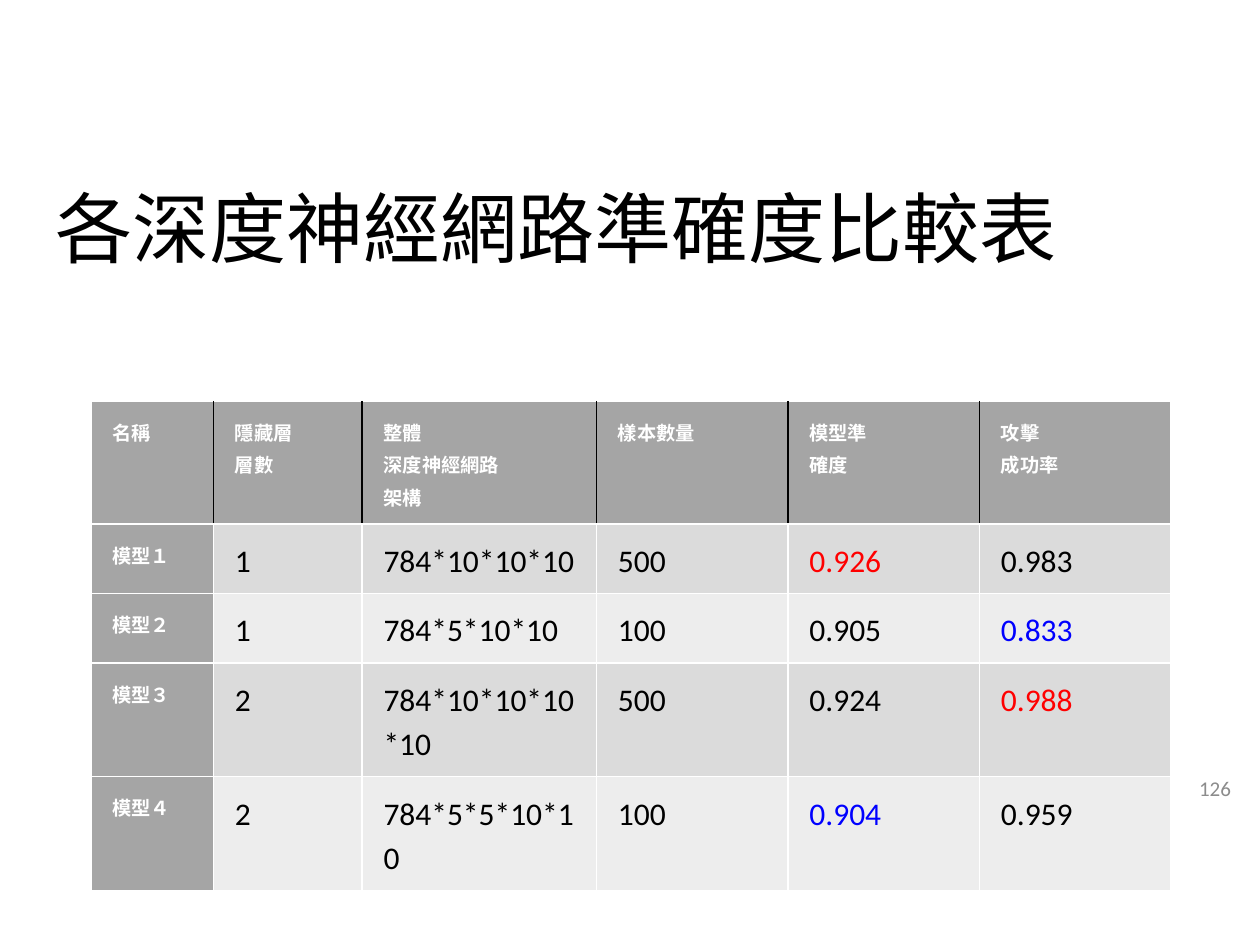
import pptx
import pptx.util
import pptx.dml.color
import pptx.enum.text
import pptx.oxml
import pptx.oxml.ns

Pt = pptx.util.Pt
FONT = "Calibri"
WHITE, BLACK, GREY, RED, BLUE = "FFFFFF", "000000", "A5A5A5", "FF0000", "0000FF"
BANDS = ["DBDBDB", "EDEDED"]
COLUMN_WIDTHS = [70, 85, 134, 109.4, 109.4, 109.4]
ROW_HEIGHTS = [70, 29.5, 29.5, 29.5, 29.5]
ROWS = [
    ["名稱", "隱藏層\n層數", "整體\n深度神經網路\n架構", "樣本數量", "模型準\n確度", "攻擊\n成功率"],
    ["模型１", "1", "784*10*10*10", "500", "0.926", "0.983"],
    ["模型２", "1", "784*5*10*10", "100", "0.905", "0.833"],
    ["模型３", "2", "784*10*10*10*10", "500", "0.924", "0.988"],
    ["模型４", "2", "784*5*5*10*10", "100", "0.904", "0.959"],
]
HIGHLIGHTS = {(1, 4): RED, (3, 5): RED, (2, 5): BLUE, (4, 4): BLUE}


def rgb(value):
    """Return the colour of a hex string."""
    return pptx.dml.color.RGBColor.from_string(value)


def style(p, size, color, bold=False):
    """Set the font of a paragraph."""
    p.font.name = FONT
    p.font.size = Pt(size)
    p.font.bold = bold
    p.font.color.rgb = rgb(color)


def set_frame(tf, anchor):
    """Give a text frame even insets, wrapping and an anchor."""
    tf.margin_left = tf.margin_top = tf.margin_right = tf.margin_bottom = Pt(7.2)
    tf.word_wrap = True
    tf.auto_size = pptx.enum.text.MSO_AUTO_SIZE.NONE
    tf.vertical_anchor = anchor


def add_title(s, text):
    """Place the slide title."""
    sp = s.shapes.title
    sp.left, sp.top, sp.width, sp.height = Pt(24.5), Pt(102), Pt(671), Pt(45.5)
    tf = sp.text_frame
    tf.text = text
    set_frame(tf, pptx.enum.text.MSO_ANCHOR.TOP)
    p = tf.paragraphs[0]
    p.alignment = pptx.enum.text.PP_ALIGN.LEFT
    p.line_spacing = 0.9
    style(p, 44, BLACK)


def add_page_number(s, text):
    """Add the page number at the right edge."""
    sp = s.shapes.add_textbox(Pt(667.5), Pt(435), Pt(43), Pt(31))
    tf = sp.text_frame
    tf.text = text
    set_frame(tf, pptx.enum.text.MSO_ANCHOR.MIDDLE)
    p = tf.paragraphs[0]
    p.alignment = pptx.enum.text.PP_ALIGN.RIGHT
    style(p, 12, "8C8C8C")


def set_borders(cell, left, right):
    """Draw the borders of a cell, white above and below."""
    tc_pr = cell._tc.get_or_add_tcPr()
    sides = [("lnL", left), ("lnR", right), ("lnT", WHITE), ("lnB", WHITE)]
    for i, (tag, color) in enumerate(sides):
        tc_pr.insert(i, pptx.oxml.parse_xml(
            f'<a:{tag} {pptx.oxml.ns.nsdecls("a")} w="{Pt(1)}"><a:solidFill>'
            f'<a:srgbClr val="{color}"/></a:solidFill></a:{tag}>'))


def fill_cell(cell, text, fill, size, color, bold):
    """Write and colour one table cell."""
    cell.fill.solid()
    cell.fill.fore_color.rgb = rgb(fill)
    cell.margin_left = cell.margin_right = Pt(5)
    cell.margin_top = cell.margin_bottom = Pt(7.2)
    cell.text = text
    for p in cell.text_frame.paragraphs:
        p._p.get_or_add_pPr().set("marL", str(Pt(7.2)))
        p.line_spacing = 1.15
        style(p, size, color, bold)


def add_table(s):
    """Add the comparison table."""
    table = s.shapes.add_table(len(ROWS), len(COLUMN_WIDTHS), Pt(52), Pt(229.5),
                               Pt(sum(COLUMN_WIDTHS)), Pt(sum(ROW_HEIGHTS))).table
    for column, width in zip(table.columns, COLUMN_WIDTHS):
        column.width = Pt(width)
    last = len(COLUMN_WIDTHS) - 1
    for i, (row, height) in enumerate(zip(ROWS, ROW_HEIGHTS)):
        table.rows[i].height = Pt(height)
        divider = BLACK if i == 0 else WHITE
        for j, text in enumerate(row):
            cell = table.cell(i, j)
            if i == 0 or j == 0:
                fill_cell(cell, text, GREY, 11, WHITE, True)
            else:
                color = HIGHLIGHTS.get((i, j), BLACK)
                fill_cell(cell, text, BANDS[(i - 1) % 2], 18, color, False)
            set_borders(cell, WHITE if j == 0 else divider,
                        WHITE if j == last else divider)


def main():
    """Build and save the slide."""
    prs = pptx.Presentation()
    prs.slide_width, prs.slide_height = Pt(720), Pt(540)
    s = prs.slides.add_slide(prs.slide_layouts[5])
    add_title(s, "各深度神經網路準確度比較表")
    add_page_number(s, "126")
    add_table(s)
    prs.save("out.pptx")


if __name__ == "__main__":
    main()
